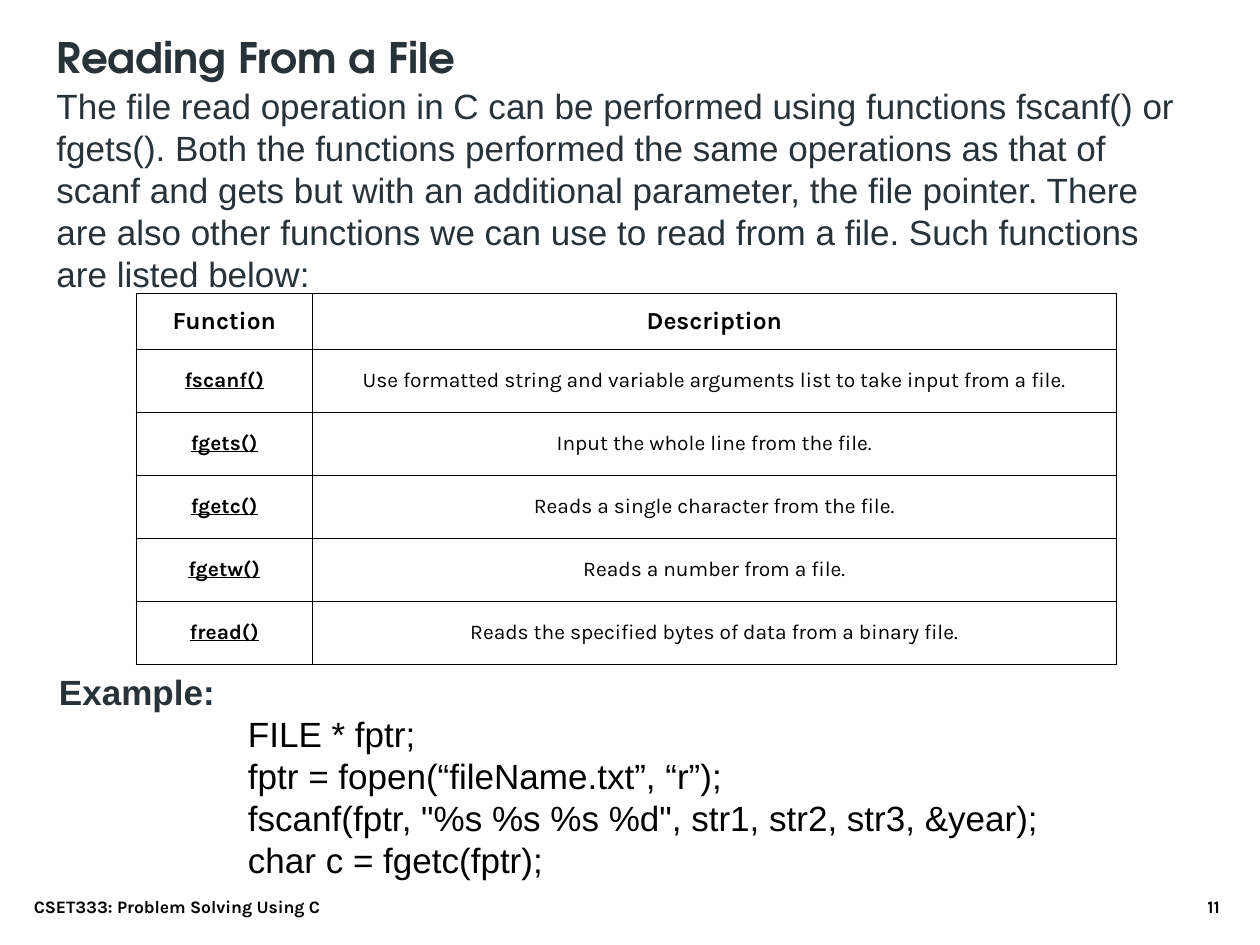
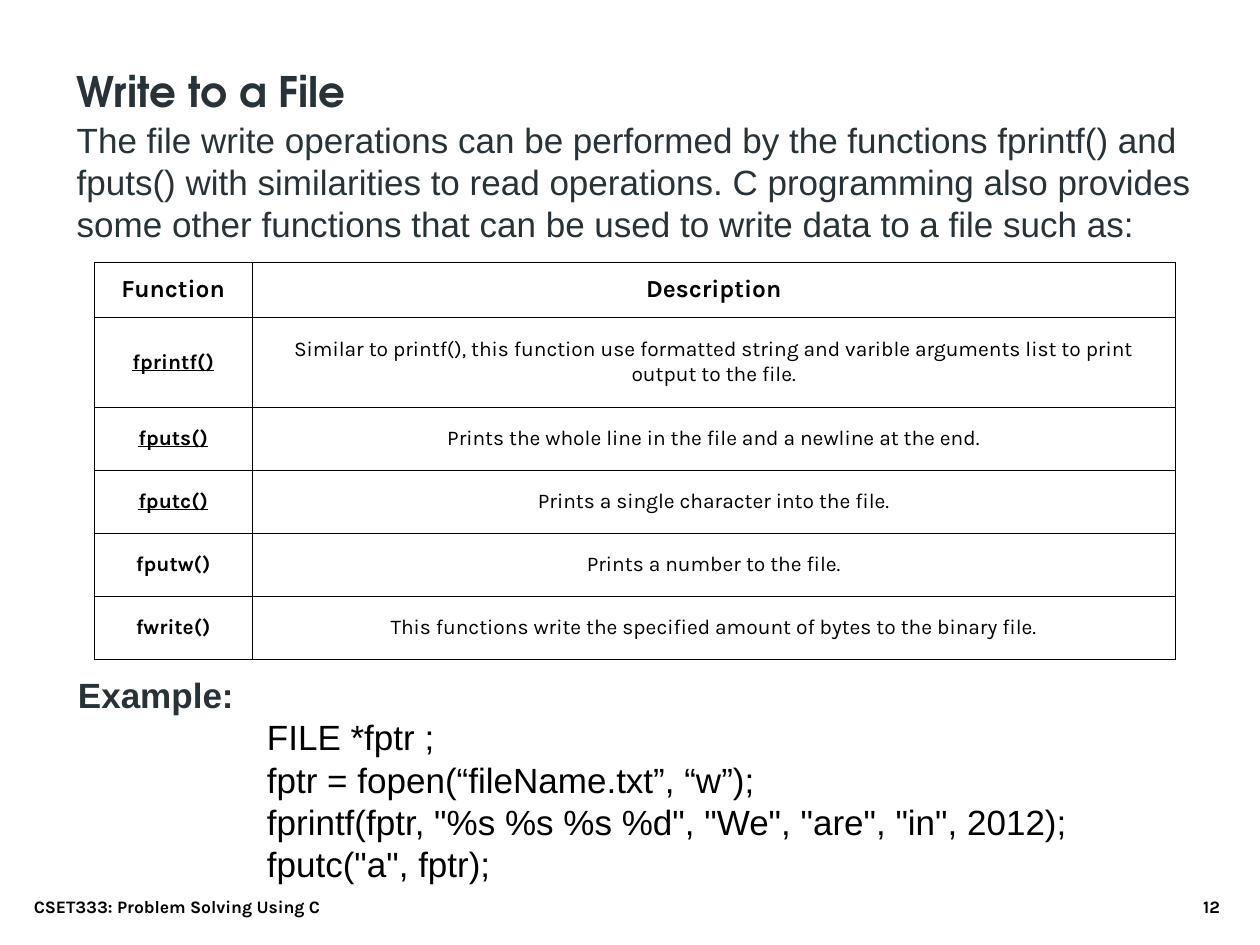
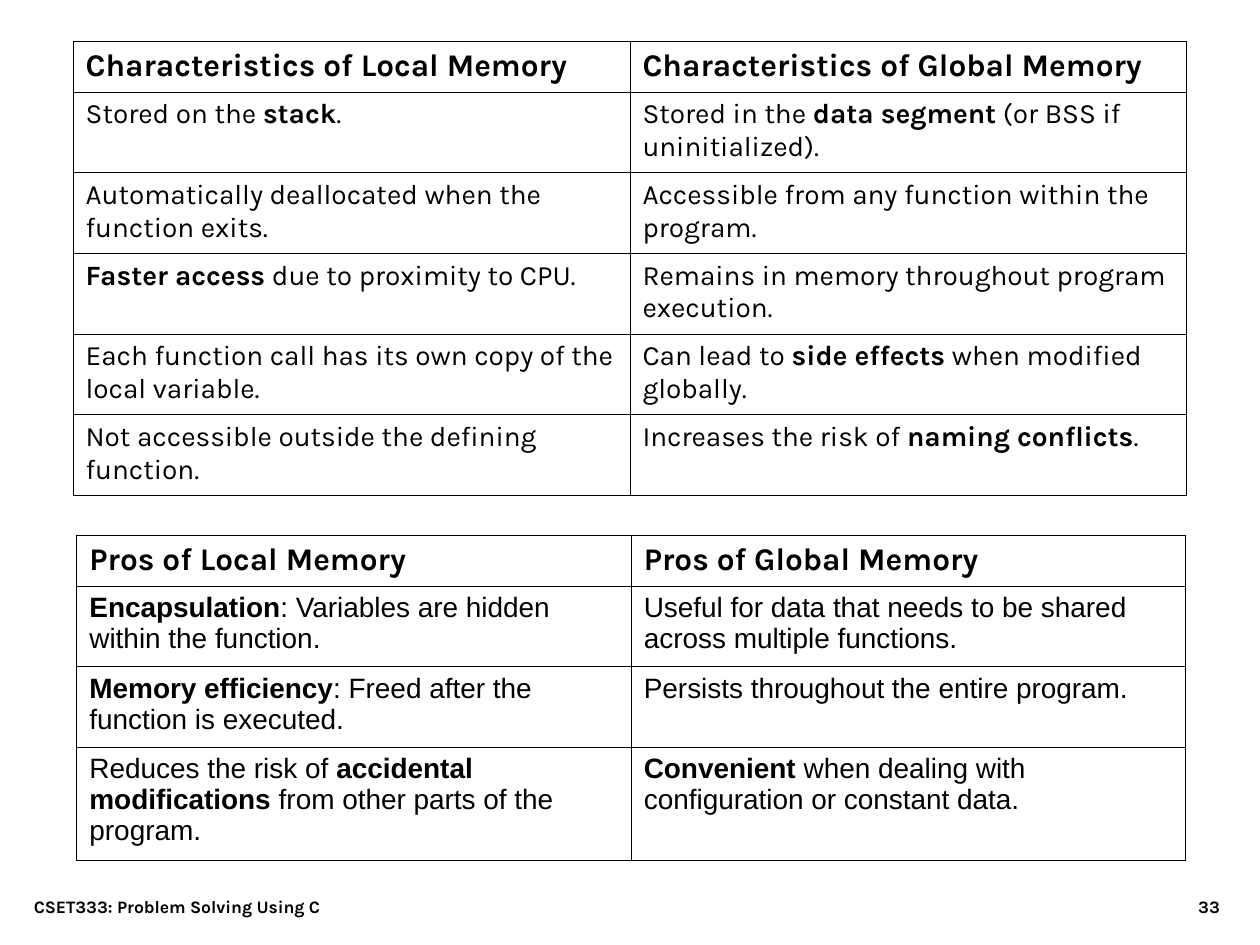
from lxml import etree
from pptx import Presentation
from pptx import util as u
from pptx.dml import color
from pptx.enum import text
from pptx.oxml import ns

BLACK = color.RGBColor(0, 0, 0)
SLATE = color.RGBColor(0x27, 0x32, 0x39)
HEADING, BODY, LABEL = "TeX Gyre Adventor", "Arial", "Karla"

WIDTH, HEIGHT = 10, 7.5
TITLE_DROP = 0.42
CODE_INDENT = 1.5
BORDER = 0.45
COURSE = "CSET333: Problem Solving Using C"

FUNCTION_PAGES = [
    {
        "number": 11,
        "title": "Reading From a File",
        "intro": "The file read operation in C can be performed using functions fscanf() or fgets(). "
                 "Both the functions performed the same operations as that of scanf and gets but with "
                 "an additional parameter, the file pointer. There are also other functions we can use "
                 "to read from a file. Such functions are listed below:",
        "intro_at": (0.35, 0.2, 9.23),
        "table_at": (1.08, 2.33),
        "columns": (1.4, 6.38),
        "heights": [0.44] + [0.5] * 5,
        "functions": [
            ("fscanf()", "Use formatted string and variable arguments list to take input from a file."),
            ("fgets()", "Input the whole line from the file."),
            ("fgetc()", "Reads a single character from the file."),
            ("fgetw()", "Reads a number from a file."),
            ("fread()", "Reads the specified bytes of data from a binary file."),
        ],
        "underlined": 5,
        "example_at": (0.37, 5.27),
        "code": [
            "FILE * fptr;",
            "fptr = fopen(“fileName.txt”, “r”);",
            'fscanf(fptr, "%s %s %s %d", str1, str2, str3, &year);',
            "char c = fgetc(fptr);",
        ],
    },
    {
        "number": 12,
        "title": "Write to a File",
        "intro": "The file write operations can be performed by the functions fprintf() and fputs() "
                 "with similarities to read operations. C programming also provides some other "
                 "functions that can be used to write data to a file such as:",
        "intro_at": (0.51, 0.47, 9.08),
        "table_at": (0.75, 2.08),
        "columns": (1.25, 7.33),
        "heights": [0.44, 0.71] + [0.5] * 4,
        "functions": [
            ("fprintf()", "Similar to printf(), this function use formatted string and varible "
                          "arguments list to print output to the file."),
            ("fputs()", "Prints the whole line in the file and a newline at the end."),
            ("fputc()", "Prints a single character into the file."),
            ("fputw()", "Prints a number to the file."),
            ("fwrite()", "This functions write the specified amount of bytes to the binary file."),
        ],
        "underlined": 3,
        "example_at": (0.52, 5.3),
        "code": [
            "FILE *fptr ;",
            "fptr = fopen(“fileName.txt”, “w”);",
            'fprintf(fptr, "%s %s %s %d", "We", "are", "in", 2012);',
            'fputc("a", fptr);',
        ],
    },
]

MEMORY_NUMBER = 33
MEMORY_TABLES = [
    {
        "at": (0.58, 0.33),
        "columns": (4.42, 4.42),
        "heights": [0.4] + [0.64] * 5,
        "font": LABEL,
        "rows": [
            ("Characteristics of Local Memory", "Characteristics of Global Memory"),
            ("Stored on the **stack**.",
             "Stored in the **data segment** (or BSS if uninitialized)."),
            ("Automatically deallocated when the function exits.",
             "Accessible from any function within the program."),
            ("**Faster access** due to proximity to CPU.",
             "Remains in memory throughout program execution."),
            ("Each function call has its own copy of the local variable.",
             "Can lead to **side effects** when modified globally."),
            ("Not accessible outside the defining function.",
             "Increases the risk of **naming conflicts**."),
        ],
    },
    {
        "at": (0.61, 4.25),
        "columns": (4.4, 4.4),
        "heights": [0.4, 0.64, 0.64, 0.9],
        "font": BODY,
        "rows": [
            ("Pros of Local Memory", "Pros of Global Memory"),
            ("**Encapsulation**: Variables are hidden within the function.",
             "Useful for data that needs to be shared across multiple functions."),
            ("**Memory efficiency**: Freed after the function is executed.",
             "Persists throughout the entire program."),
            ("Reduces the risk of **accidental modifications** from other parts of the program.",
             "**Convenient** when dealing with configuration or constant data."),
        ],
    },
]


def style(para, name, size, ink=BLACK, bold=None, align=text.PP_ALIGN.LEFT):
    para.alignment = align
    para.font.name, para.font.size = name, u.Pt(size)
    para.font.color.rgb = ink
    para.font.bold = bold


def add_box(page, left, top, width, height, anchor=text.MSO_ANCHOR.TOP):
    box = page.shapes.add_textbox(*map(u.Inches, (left, top, width, height)))
    box.text_frame.word_wrap = True
    box.text_frame.vertical_anchor = anchor
    return box.text_frame


def add_footer(page, number):
    for words, left, width, align in ((COURSE, 0.17, 5.67, text.PP_ALIGN.LEFT),
                                      (str(number), 7.7, 2.08, text.PP_ALIGN.RIGHT)):
        para = add_box(page, left, 6.83, width, 0.5, text.MSO_ANCHOR.BOTTOM).paragraphs[0]
        para.text = words
        style(para, LABEL, 10, bold=True, align=align)


def add_title(page, words, left, top, width):
    title = page.shapes.title
    title.left, title.top, title.width, title.height = map(u.Inches, (left, top, width, 0.5))
    frame = title.text_frame
    frame.text = words
    frame.auto_size = text.MSO_AUTO_SIZE.NONE
    frame.vertical_anchor = text.MSO_ANCHOR.TOP
    style(frame.paragraphs[0], HEADING, 24, SLATE, True)


def outline(cell):
    properties = cell._tc.get_or_add_tcPr()
    for place, side in enumerate(("a:lnL", "a:lnR", "a:lnT", "a:lnB")):
        line = etree.Element(ns.qn(side), w=str(u.Pt(BORDER)))
        fill = etree.SubElement(line, ns.qn("a:solidFill"))
        etree.SubElement(fill, ns.qn("a:srgbClr"), val=str(BLACK))
        properties.insert(place, line)


def add_grid(page, at, columns, heights):
    frame = page.shapes.add_table(len(heights), len(columns), *map(
        u.Inches, (*at, sum(columns), sum(heights))))
    table = frame.table
    table.first_row = table.horz_banding = False
    for column, width in zip(table.columns, columns):
        column.width = u.Inches(width)
    for row, height in zip(table.rows, heights):
        row.height = u.Inches(height)
    for cell in table.iter_cells():
        cell.fill.background()
        outline(cell)
    return table


def add_function_table(page, content):
    table = add_grid(page, content["table_at"], content["columns"], content["heights"])
    rows = [("Function", "Description")] + content["functions"]
    for r, row in enumerate(rows):
        for c, words in enumerate(row):
            cell = table.cell(r, c)
            cell.vertical_anchor = text.MSO_ANCHOR.MIDDLE
            para = cell.text_frame.paragraphs[0]
            para.text = words
            style(para, LABEL, 12 if r else 14, bold=r == 0 or c == 0, align=text.PP_ALIGN.CENTER)
            para.font.underline = c == 0 and 0 < r <= content["underlined"]


def add_memory_table(page, content):
    table = add_grid(page, content["at"], content["columns"], content["heights"])
    for r, row in enumerate(content["rows"]):
        for c, words in enumerate(row):
            para = table.cell(r, c).text_frame.paragraphs[0]
            for part, piece in enumerate(words.split("**")):
                if piece:
                    span = para.add_run()
                    span.text = piece
                    span.font.bold = r == 0 or part % 2 == 1
            style(para, content["font"] if r else LABEL, 16 if r else 18)


def add_example(page, content):
    left, top = content["example_at"]
    frame = add_box(page, left, top, WIDTH - left - 0.9, 1.77)
    frame.text = "\n".join(["Example:"] + content["code"])
    heading, *code = frame.paragraphs
    style(heading, BODY, 20, SLATE, True)
    for para in code:
        para._p.get_or_add_pPr().set("marL", str(u.Inches(CODE_INDENT)))
        style(para, BODY, 20, bold=False)


def add_function_page(deck, content):
    page = deck.slides.add_slide(deck.slide_layouts[5])
    add_footer(page, content["number"])
    left, top, width = content["intro_at"]
    add_title(page, content["title"], left, top, width)
    lead = add_box(page, left, top + TITLE_DROP, width,
                   content["table_at"][1] - top - TITLE_DROP).paragraphs[0]
    lead.text = content["intro"]
    style(lead, BODY, 20, SLATE, False)
    add_function_table(page, content)
    add_example(page, content)


def main():
    deck = Presentation()
    deck.slide_width, deck.slide_height = u.Inches(WIDTH), u.Inches(HEIGHT)
    for content in FUNCTION_PAGES:
        add_function_page(deck, content)
    page = deck.slides.add_slide(deck.slide_layouts[6])
    add_footer(page, MEMORY_NUMBER)
    for content in MEMORY_TABLES:
        add_memory_table(page, content)
    deck.save("out.pptx")


if __name__ == "__main__":
    main()
